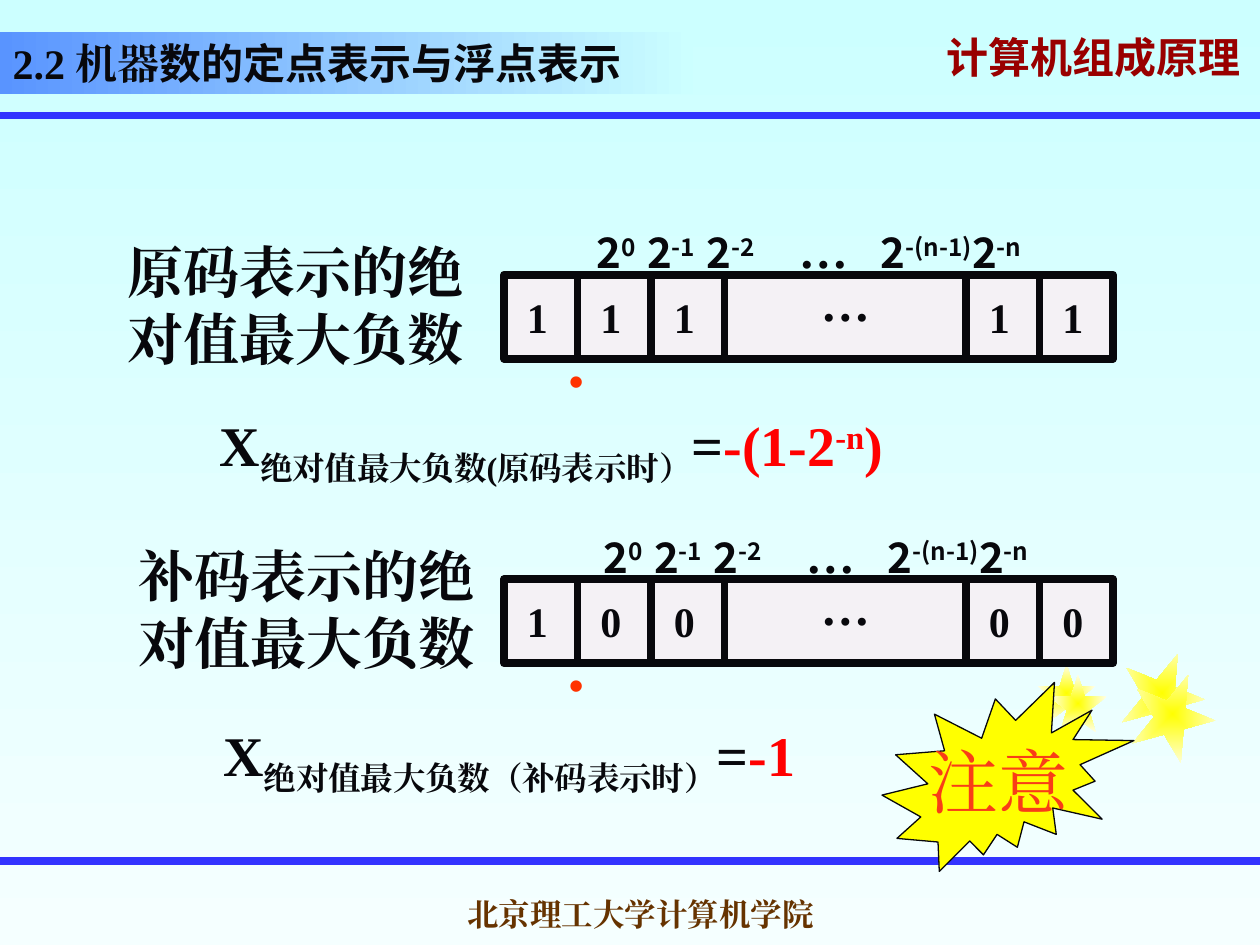
from dataclasses import dataclass
from itertools import accumulate

from lxml.etree import SubElement
from pptx import Presentation
from pptx.dml.color import RGBColor
from pptx.enum.shapes import MSO_CONNECTOR, MSO_SHAPE
from pptx.enum.text import MSO_ANCHOR, MSO_AUTO_SIZE, PP_ALIGN
from pptx.oxml import parse_xml
from pptx.oxml.ns import nsdecls, qn
from pptx.util import Pt


@dataclass(frozen=True)
class Theme:
    """Colours, fonts and type sizes of the slide."""
    ink: str = "08080C"
    rule: str = "3333FF"
    course: str = "990000"
    footer: str = "663300"
    cell: str = "F4F1F5"
    point: str = "FF3300"
    result: str = "FF0000"
    alert: str = "F93D17"
    yellow: str = "FFFF00"
    pale_yellow: str = "FFFFE9"
    sky: str = "CCFFFF"
    pale_sky: str = "F5FFFF"
    banner: str = "5994FF"
    serif: str = "Times New Roman"
    sans: str = "Noto Sans CJK SC"
    symbol: str = "Arial"
    small: int = 18
    body: int = 24
    dots: int = 28
    large: int = 32
    shout: int = 40
    thick: float = 4.5
    thin: float = 0.75


T = Theme()
GROW = {"auto_size": MSO_AUTO_SIZE.SHAPE_TO_FIT_TEXT}
MIDDLE = {"vertical_anchor": MSO_ANCHOR.MIDDLE}
NO_WRAP = {"word_wrap": False}
CENTER = {"alignment": PP_ALIGN.CENTER}


def rgb(value):
    """Turn a hex string into a colour."""
    return RGBColor.from_string(value)


def set_all(obj, values):
    """Set every attribute in a dict of format values."""
    for name, value in values.items():
        setattr(obj, name, value)


def write(sp, runs, frame=None, para=None, **base):
    """Write (text, style) runs into one paragraph of a shape."""
    tf = sp.text_frame
    set_all(tf, {"word_wrap": True, **(frame or {})})
    p = tf.paragraphs[0]
    set_all(p, para or {})
    for text, style in runs:
        look = {"face": T.serif, "size": T.body, "color": T.ink,
                "bold": True, "baseline": 0, **base, **style}
        r = p.add_run()
        r.text = text
        set_all(r.font, {"name": look["face"], "size": Pt(look["size"]), "bold": look["bold"]})
        r.font.color.rgb = rgb(look["color"])
        rPr = r._r.get_or_add_rPr()
        rPr.find(qn("a:latin")).addnext(
            parse_xml(f'<a:ea {nsdecls("a")} typeface="{look["face"]}"/>'))
        if look["baseline"]:
            rPr.set("baseline", str(look["baseline"] * 1000))
    return p


def add_text(s, box, runs, frame=None, para=None, **base):
    """Add a text box that holds one paragraph."""
    sp = s.shapes.add_textbox(*map(Pt, box))
    return write(sp, runs, frame, para, **base)


def add_line(s, x1, y1, x2, y2, color):
    """Add a thick straight line."""
    cn = s.shapes.add_connector(MSO_CONNECTOR.STRAIGHT, *map(Pt, (x1, y1, x2, y2)))
    cn.line.color.rgb = rgb(color)
    cn.line.width = Pt(T.thick)
    SubElement(cn._element.spPr, qn("a:effectLst"))


def add_block(s, kind, box, fill, width):
    """Add a filled and outlined preset shape."""
    sp = s.shapes.add_shape(kind, *map(Pt, box))
    sp.shadow.inherit = False
    sp.fill.solid()
    sp.fill.fore_color.rgb = rgb(fill)
    sp.line.color.rgb = rgb(T.ink)
    sp.line.width = Pt(width)
    return sp


def set_gradient(fill, start, end, angle=0):
    """Give a fill a gradient between two colours."""
    fill.gradient()
    fill.gradient_angle = angle
    for stop, color, position in zip(fill.gradient_stops, (start, end), (0, 1)):
        stop.color.rgb = rgb(color)
        stop.position = position


def add_header(s, box):
    """Place the title banner, the course name and the rule below them."""
    left, top, width, height = box
    title = s.shapes.title
    set_all(title, dict(zip(("left", "top", "width", "height"),
                            map(Pt, (left, top, 396, 36)))))
    set_gradient(title.fill, T.banner, T.sky)
    write(title, [("2.2 机器", {}), ("数的定点表示与浮点表示", {"face": T.sans})],
          {"vertical_anchor": MSO_ANCHOR.BOTTOM, "auto_size": MSO_AUTO_SIZE.NONE},
          {"alignment": PP_ALIGN.LEFT})
    p = add_text(s, (left + width - 186, top, 186, 36), [("计算机组成原理", {})],
                 MIDDLE, {"line_spacing": 0.7}, face=T.sans, color=T.course)
    p.runs[0]._r.rPr.find(qn("a:solidFill")).addnext(parse_xml(
        f'<a:effectLst {nsdecls("a")}><a:outerShdw dist="25400" dir="2700000">'
        '<a:srgbClr val="A0A0A0"/></a:outerShdw></a:effectLst>'))
    add_line(s, left, top + height, left + width, top + height, T.rule)


def add_footer(s, box):
    """Place the rule and the school name at the foot."""
    left, top, width, height = box
    add_line(s, left, top, left + width, top, T.rule)
    add_text(s, (left + 252, top + 12, 228, height - 12), [("北京理工大学计算机学院", {})],
             {**MIDDLE, **NO_WRAP}, CENTER, size=T.small, color=T.footer)


def add_stars(s, box):
    """Place three stars, each with an echo offset to the lower right."""
    left, top = box[:2]
    stars = [(0, 52, 36, -11), (59, 7.5, 33, 0), (106, 0, 48, 22)]
    echoes = [(10, 8), (6.5, 6), (6, 12)]
    for dx, dy in ((0, 0), (1, 1)):
        for (x, y, size, angle), (ex, ey) in zip(stars, echoes):
            at = (left + x + dx * ex, top + y + dy * ey, size, size)
            sp = s.shapes.add_shape(MSO_SHAPE.STAR_5_POINT, *map(Pt, at))
            sp.shadow.inherit = False
            sp.rotation = angle
            sp.line.fill.background()
            set_gradient(sp.fill, T.yellow, T.pale_yellow)
            lin = sp._element.spPr.find(qn("a:gradFill")).find(qn("a:lin"))
            lin.getparent().replace(lin, parse_xml(
                f'<a:path {nsdecls("a")} path="rect">'
                '<a:fillToRect l="50000" t="50000" r="50000" b="50000"/></a:path>'))


def add_register(s, box, values, label, label_at, label_width, powers_at):
    """Place a machine word with its bits, weights, binary point and label."""
    left, top, width, height = box
    bit = 42
    widths = [bit, bit, bit, width - 5 * bit, bit, bit]
    edges = list(accumulate(widths, initial=left))
    add_block(s, MSO_SHAPE.RECTANGLE, box, T.cell, T.thick)
    for x in edges[1:-1]:
        add_line(s, x, top, x, top + height, T.ink)
    for x, value in zip(edges, values):
        if value == "…":
            add_text(s, (x + 48, top - 5, 78, 41), [(value, {})], GROW, size=T.dots)
        else:
            add_text(s, (x + 6, top + 6, 48, 36), [(value, {})], GROW)
    add_text(s, (left + 30, top + 42, 54, 36), [("•", {})], GROW,
             face=T.symbol, color=T.point, bold=False)
    up = {"baseline": 30}
    powers = [("2", {}), ("0  ", up), ("2", {}), ("-1  ", up), ("2", {}), ("-2        ", up),
              ("…", {"face": T.serif, "size": T.dots}), ("      ", up),
              ("2", {}), ("-(n-1)", up), ("2", {}), ("-n", up)]
    add_text(s, (left + powers_at, top - 35, 258, 41), powers,
             {**GROW, **MIDDLE, **NO_WRAP}, face=T.sans)
    add_text(s, (left + label_at, top - 25, label_width, 84), [(label, {})], GROW, size=T.large)


def add_equation(s, box, symbol, subscript, result):
    """Place a centred equation whose result stands out."""
    runs = [(symbol, {}), (subscript, {"baseline": -25}), ("=", {})]
    runs += [(text, {"color": T.result, "baseline": base}) for text, base in result]
    add_text(s, box, runs, {**GROW, **MIDDLE}, CENTER, size=T.large)


def add_alert(s, box):
    """Place the burst that calls for attention."""
    sp = add_block(s, MSO_SHAPE.EXPLOSION2, box, T.yellow, T.thin)
    write(sp, [("注意", {})], {**MIDDLE, **NO_WRAP}, CENTER,
          size=T.shout, color=T.alert, bold=False)


def main():
    """Build the slide and save it."""
    prs = Presentation()
    prs.slide_width, prs.slide_height = Pt(720), Pt(540)
    s = prs.slides.add_slide(prs.slide_layouts[5])
    set_gradient(s.background.fill, T.sky, T.pale_sky, 270)
    add_header(s, (0, 18, 720, 48))
    add_footer(s, (0, 492, 720, 48))
    add_stars(s, (534, 372, 160, 98))
    add_register(s, (288, 157, 348, 48), "111…11", "原码表示的绝对值最大负数", -222, 210, 46)
    add_equation(s, (76, 231, 470, 51), " X", "绝对值最大负数(原码表示时）",
                 [("-(1-2", 0), ("-n", 30), (")", 0)])
    add_register(s, (288, 331, 348, 48), "100…00", "补码表示的绝对值最大负数", -216, 234, 50)
    add_equation(s, (55.5, 408, 471, 51), "X", "绝对值最大负数（补码表示时）", [("-1", 0)])
    add_alert(s, (504, 390, 144, 108))
    prs.save("out.pptx")


if __name__ == "__main__":
    main()
